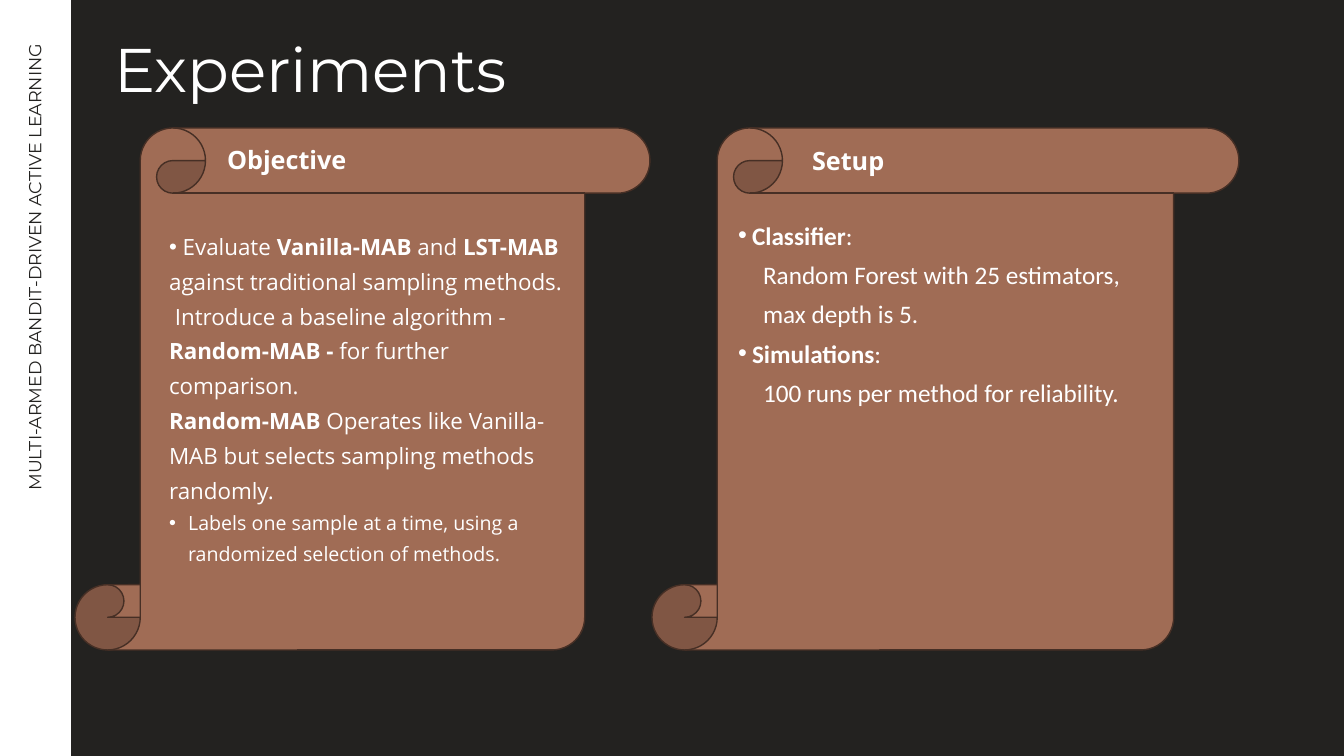
from lxml import etree
from pptx import Presentation
from pptx.dml.color import RGBColor
from pptx.enum.shapes import MSO_CONNECTOR, MSO_SHAPE
from pptx.enum.text import MSO_ANCHOR, MSO_AUTO_SIZE, PP_ALIGN
from pptx.oxml.ns import qn
from pptx.util import Pt

PX = 12192000 / 1344
W, H = 1344, 756
STRIP_W = 70
COLORS = {"dark": "232220", "light": "FFFFFF", "scroll": "A06C55", "edge": "462F25"}
RECT, SCROLL = MSO_SHAPE.RECTANGLE, MSO_SHAPE.VERTICAL_SCROLL
STRAIGHT = MSO_CONNECTOR.STRAIGHT
TOP, MIDDLE, BOTTOM = MSO_ANCHOR.TOP, MSO_ANCHOR.MIDDLE, MSO_ANCHOR.BOTTOM
LEFT, RIGHT = PP_ALIGN.LEFT, PP_ALIGN.RIGHT
FIXED, SHRINK = MSO_AUTO_SIZE.NONE, MSO_AUTO_SIZE.TEXT_TO_FIT_SHAPE

OBJECTIVE = [
    (16, 0, 0, "•", [" Evaluate ", "Vanilla-MAB", " and ", "LST-MAB",
                     " against traditional sampling methods."]),
    (16, 0, 0, "", [" Introduce a baseline algorithm - ", "Random-MAB - ",
                    "for further comparison."]),
    (16, 0, 0, "", ["", "Random-MAB",
                    " Operates like Vanilla-MAB but selects sampling methods randomly."]),
    (14, 19, -19, "•", ["Labels one sample at a time, using a randomized selection of methods."]),
]
SETUP = [
    (18, 14, -14, "•", ["", "Classifier", ":"]),
    (18, 25, 0, "", ["Random Forest with 25 estimators,"]),
    (18, 25, 0, "", ["max depth is 5."]),
    (18, 14, -14, "•", ["", "Simulations", ":"]),
    (18, 25, 0, "", ["100 runs per method for reliability."]),
]


def emu(*lengths):
    return [round(n * PX) for n in lengths]


def rgb(name):
    return RGBColor.from_string(COLORS[name])


def place(sp, x, y, w, h):
    sp.left, sp.top, sp.width, sp.height = emu(x, y, w, h)


def style(r, size, font, color, bold=False):
    r.font.size, r.font.name, r.font.bold = Pt(size), font, bold
    r.font.color.rgb = rgb(color)


def set_frame(tf, anchor, fit=FIXED):
    tf.word_wrap = True
    tf.vertical_anchor = anchor
    tf.auto_size = fit


def write_line(sp, text, size, font, color, anchor, align=LEFT, spacing=1.0, bold=False):
    tf = sp.text_frame
    set_frame(tf, anchor)
    tf.text = text
    p = tf.paragraphs[0]
    p.alignment, p.line_spacing, p.space_before = align, spacing, Pt(0)
    style(p.runs[0], size, font, color, bold)


def set_bullet(p, margin, indent, bullet):
    pPr = p._p.get_or_add_pPr()
    pPr.set("marL", str(emu(margin)[0]))
    pPr.set("indent", str(emu(indent)[0]))
    if bullet:
        etree.SubElement(pPr, qn("a:buChar")).set("char", bullet)
    else:
        etree.SubElement(pPr, qn("a:buNone"))


def write_list(sp, items, font):
    tf = sp.text_frame
    set_frame(tf, TOP, SHRINK)
    for i, (size, margin, indent, bullet, parts) in enumerate(items):
        p = tf.add_paragraph() if i else tf.paragraphs[0]
        p.alignment, p.line_spacing, p.space_before = LEFT, 1.3, Pt(0)
        set_bullet(p, margin, indent, bullet)
        for k, part in enumerate(parts):
            if part:
                r = p.add_run()
                r.text = part
                style(r, size, font, "light", k % 2 == 1)


def side_strip(s, x, y, w, h):
    sp = s.shapes.add_shape(RECT, *emu(x, y, w, h))
    sp.shadow.inherit = False
    sp.fill.solid()
    sp.fill.fore_color.rgb = rgb("light")
    sp.line.fill.background()
    edge = s.shapes.add_connector(STRAIGHT, *emu(x + w, y, x + w, y + h))
    edge.line.color.rgb = rgb("light")
    edge.line.width = Pt(1.5)
    etree.SubElement(edge.element.spPr, qn("a:effectLst"))
    label = s.shapes.add_textbox(*emu(x + 12, y + 34, 45, 497))
    write_line(label, "MULTI-ARMED BANDIT-DRIVEN ACTIVE LEARNING",
               12.5, "Montserrat", "dark", MIDDLE, RIGHT)
    label.text_frame._txBody.bodyPr.set("vert", "vert270")


def scroll_panel(s, box, heading, body, title, items, font, head_at, body_at):
    x, y, w, h = box
    sp = s.shapes.add_shape(SCROLL, *emu(x, y, w, h))
    sp.shadow.inherit = False
    sp.fill.solid()
    sp.fill.fore_color.rgb = rgb("scroll")
    sp.line.color.rgb = rgb("edge")
    sp.line.width = Pt(1)
    s.shapes.title.element.addprevious(sp.element)
    for holder, (dx, dy, bw, bh) in ((heading, head_at), (body, body_at)):
        place(holder, x + dx, y + dy, bw, bh)
    write_line(heading, title, 18, "Open Sans", "light", BOTTOM, spacing=1.3, bold=True)
    write_list(body, items, font)


def experiments_slide(prs):
    s = prs.slides.add_slide(prs.slide_layouts[4])
    s.background.fill.solid()
    s.background.fill.fore_color.rgb = rgb("dark")
    side_strip(s, 0, 0, STRIP_W, H)
    place(s.shapes.title, 104, 34, 1137, 95)
    write_line(s.shapes.title, "Experiments", 44, "Montserrat", "light", TOP, spacing=0.9)
    ph = {sp.placeholder_format.idx: sp for sp in s.placeholders}
    scroll_panel(s, (652, 128, 587, 522), ph[3], ph[4], "Setup", SETUP, "Calibri",
                 (150, 16, 517, 37), (76, 78, 517, 389))
    scroll_panel(s, (75, 128, 575, 522), ph[1], ph[2], "Objective", OBJECTIVE, "Open Sans",
                 (142, 15, 417, 37), (84, 92, 417, 380))


def main():
    prs = Presentation()
    prs.slide_width, prs.slide_height = emu(W, H)
    experiments_slide(prs)
    prs.save("out.pptx")


if __name__ == "__main__":
    main()
